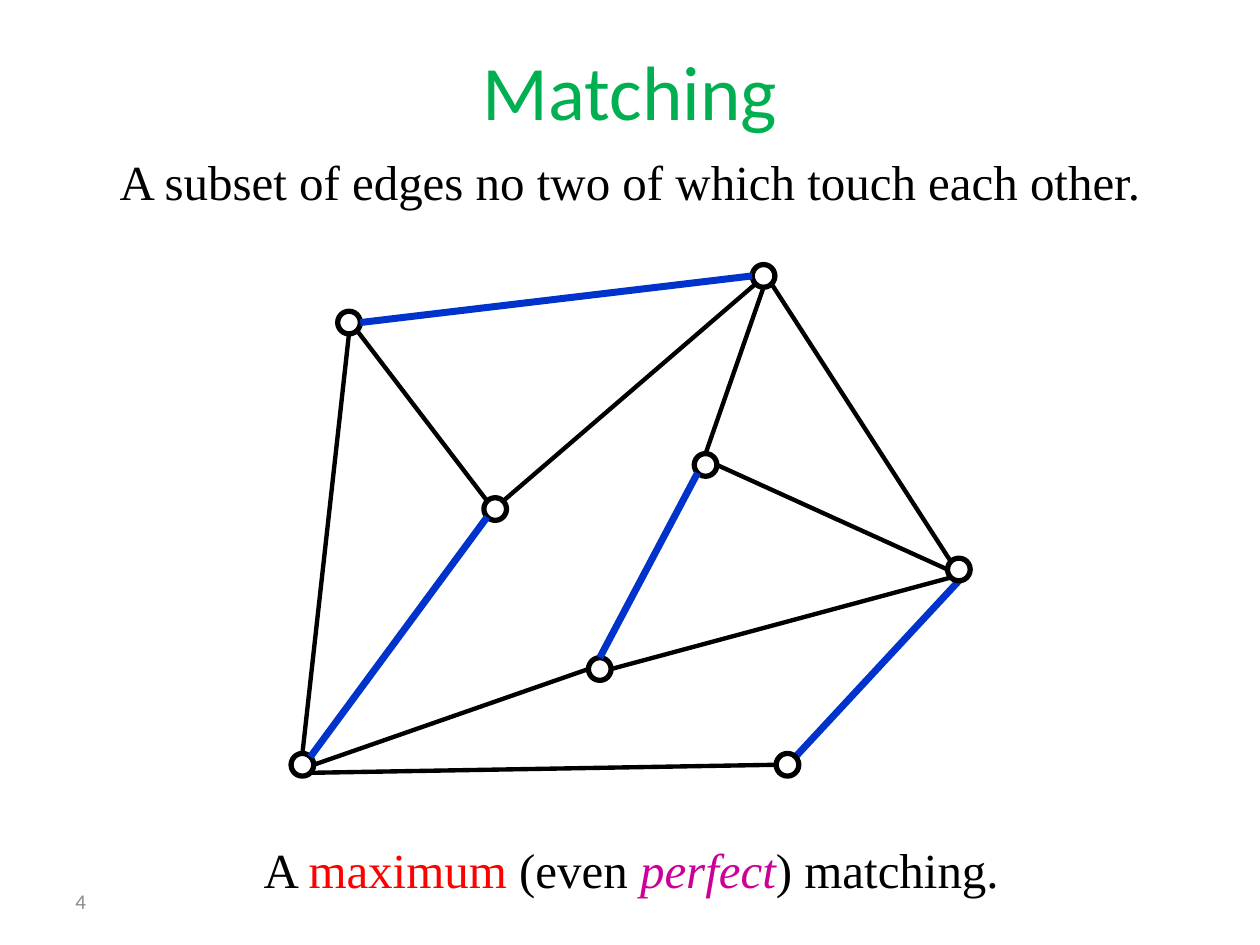
from math import cos, radians, sin

from lxml import etree
from pptx import Presentation
from pptx import util as u
from pptx.dml.color import RGBColor
from pptx.enum import shapes, text
from pptx.oxml import ns

BLACK = RGBColor(0x00, 0x00, 0x00)
BLUE = RGBColor(0x00, 0x33, 0xCC)
GREEN = RGBColor(0x00, 0xB0, 0x50)
RED = RGBColor(0xFF, 0x00, 0x00)
PURPLE = RGBColor(0xCC, 0x00, 0x99)
GREY = RGBColor(0x8C, 0x8C, 0x8C)

deck = Presentation()
deck.slide_width, deck.slide_height = u.Inches(10), u.Inches(7.5)
slide = deck.slides.add_slide(deck.slide_layouts[5])

# Vertices: centres in inches
RADIUS = 0.09
vertices = {
    "c": (3.93, 4.04), "a": (2.77, 2.56), "f": (4.76, 5.31), "g": (2.40, 6.07),
    "d": (5.60, 3.69), "e": (7.61, 4.52), "b": (6.06, 2.19), "h": (6.25, 6.07),
}
# Points on a vertex where edges attach, as clockwise angles
angles = {"E": 0, "SE": 45, "S": 90, "SW": 135,
          "W": 180, "NW": 225, "N": 270, "NE": 315}

# Edges: from vertex and side, to vertex and side, whether matched
edges_behind = [
    ("a", "SE", "c", "NW", False), ("b", "SW", "c", "NE", False),
    ("d", "E", "e", "W", False), ("f", "W", "g", "E", False),
    ("h", "W", "g", "SE", False), ("h", "NE", "e", "S", True),
]
edges_in_front = [
    ("a", "E", "b", "W", True), ("a", "S", "g", "N", False),
    ("c", "SW", "g", "NE", True), ("e", "SW", "f", "E", False),
    ("b", "SE", "e", "NW", False), ("d", "SW", "f", "N", True),
    ("b", "S", "d", "N", False),
]
graph = slide.shapes.add_group_shape()


def draw_edges(edges):
    for start, start_side, end, end_side, matched in edges:
        ends = []
        for vertex, side in ((start, start_side), (end, end_side)):
            x, y = vertices[vertex]
            angle = radians(angles[side])
            ends += [u.Inches(x + RADIUS * cos(angle)),
                     u.Inches(y + RADIUS * sin(angle))]
        edge = graph.shapes.add_connector(shapes.MSO_CONNECTOR.STRAIGHT, *ends)
        edge.line.color.rgb = BLUE if matched else BLACK
        edge.line.width = u.Pt(4 if matched else 2.5)
        etree.SubElement(edge._element.spPr, ns.qn("a:effectLst"))


# Graph
draw_edges(edges_behind)
for x, y in vertices.values():
    vertex = graph.shapes.add_shape(
        shapes.MSO_SHAPE.OVAL, u.Inches(x - RADIUS), u.Inches(y - RADIUS),
        u.Inches(2 * RADIUS), u.Inches(2 * RADIUS))
    vertex.shadow.inherit = False
    vertex.fill.background()
    vertex.line.color.rgb = BLACK
    vertex.line.width = u.Pt(3)
draw_edges(edges_in_front)

# Title, definition, conclusion and page number
title = slide.shapes.title
definition, conclusion, page_number = (
    slide.shapes.add_textbox(0, 0, 0, 0) for _ in range(3))
CENTER, LEFT = text.PP_ALIGN.CENTER, text.PP_ALIGN.LEFT
captions = [
    (title, (0, 0.29, 10, 0.84), CENTER, "Calibri", 44,
     [("Matching", GREEN)]),
    (definition, (0, 1.15, 10, 0.57), CENTER, "Times New Roman", 28,
     [("A subset of edges no two of which touch each other.", BLACK)]),
    (conclusion, (0.01, 6.61, 10, 0.57), CENTER, "Times New Roman", 28,
     [("A ", BLACK), ("maximum", RED), (" (even ", BLACK),
      ("perfect", PURPLE), (") matching.", BLACK)]),
    (page_number, (0.5, 6.95, 2.33, 0.4), LEFT, "Calibri", 12,
     [("4", GREY)]),
]
for caption, box, alignment, font_name, size, pieces in captions:
    caption.left, caption.top, caption.width, caption.height = map(u.Inches, box)
    frame = caption.text_frame
    frame.word_wrap = True
    frame.auto_size = text.MSO_AUTO_SIZE.NONE
    frame.vertical_anchor = text.MSO_ANCHOR.MIDDLE
    paragraph = frame.paragraphs[0]
    paragraph.alignment = alignment
    for words, color in pieces:
        run = paragraph.add_run()
        run.text = words
        run.font.name = font_name
        run.font.size = u.Pt(size)
        run.font.color.rgb = color
        run.font.italic = color == PURPLE

deck.save("out.pptx")
